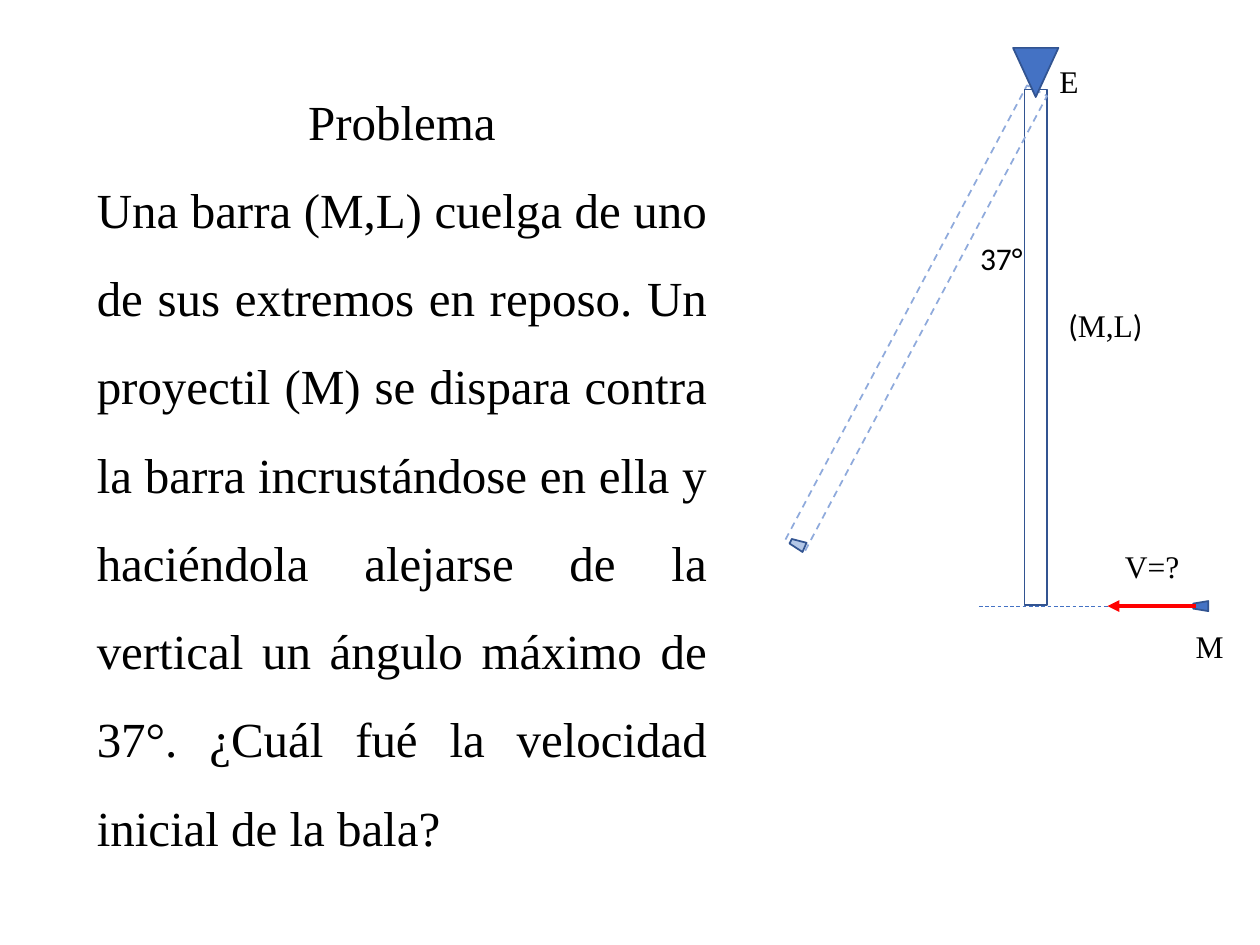
import pptx
import pptx.util
import pptx.dml.color
import pptx.enum.dml
import pptx.enum.shapes
import pptx.enum.text
import pptx.oxml.ns
from lxml import etree

Inches = pptx.util.Inches
Pt = pptx.util.Pt
RGBColor = pptx.dml.color.RGBColor
Shape = pptx.enum.shapes.MSO_SHAPE
Align = pptx.enum.text.PP_ALIGN
DASH = pptx.enum.dml.MSO_LINE.DASH

BLACK = RGBColor(0x00, 0x00, 0x00)
BLUE = RGBColor(0x44, 0x72, 0xC4)
DARK_BLUE = RGBColor(0x32, 0x54, 0x91)
MID_BLUE = RGBColor(0x8F, 0xAA, 0xDC)
PALE_BLUE = RGBColor(0xB4, 0xC7, 0xE7)
RED = RGBColor(0xFF, 0x00, 0x00)

SERIF = "Times New Roman"
SANS = "Calibri"

STATEMENT = [
    ([("Problema", SERIF)], Align.CENTER),
    ([("Una barra (M,L) cuelga de uno de sus extremos en reposo. "
       "Un proyectil (M) se dispara contra la barra incrustándose en ella "
       "y haciéndola alejarse de la vertical un ángulo máximo de 37°. "
       "¿Cuál fué la velocidad inicial de la bala?", SERIF)], Align.JUSTIFY),
]
LABELS = [
    ((7.68, 1.85, 0.6, 0.4), [("37°", SANS)]),
    ((8.38, 2.38, 0.79, 0.4), [("(", SANS), ("M,L", SERIF), (")", SANS)]),
    ((8.83, 4.29, 0.66, 0.48), [("V=?", SERIF)]),
    ((9.39, 4.93, 0.49, 0.4), [("M", SERIF)]),
    ((8.31, 0.44, 0.49, 0.4), [("E", SERIF)]),
]
BAR_SIZE = (0.18, 4.09)
BULLET_SIZE = (0.08, 0.12)
FLIGHT_Y = 4.81


def add_text(page, place, paragraphs, size=18, spacing=None, wrap=False):
    box = page.shapes.add_textbox(*map(Inches, place))
    frame = box.text_frame
    frame.word_wrap = wrap
    frame.auto_size = pptx.enum.text.MSO_AUTO_SIZE.SHAPE_TO_FIT_TEXT
    for index, (spans, align) in enumerate(paragraphs):
        para = frame.add_paragraph() if index else frame.paragraphs[0]
        para.alignment = align
        para.line_spacing = spacing
        for text, font in spans:
            span = para.add_run()
            span.text = text
            span.font.name = font
            span.font.size = Pt(size)
            span.font.color.rgb = BLACK


def add_part(page, kind, corner, size, fill=None, line=DARK_BLUE, rotation=0, dash=None):
    shape = page.shapes.add_shape(kind, *map(Inches, corner + size))
    shape.shadow.inherit = False
    shape.rotation = rotation
    if fill is None:
        shape.fill.background()
    else:
        shape.fill.solid()
        shape.fill.fore_color.rgb = fill
    shape.line.color.rgb = line
    shape.line.width = Pt(1)
    if dash:
        shape.line.dash_style = dash


def add_flight_line(page, start, end, color, width, dash=None, arrow=False):
    line = page.shapes.add_connector(
        pptx.enum.shapes.MSO_CONNECTOR.STRAIGHT,
        Inches(start), Inches(FLIGHT_Y), Inches(end), Inches(FLIGHT_Y))
    line.line.color.rgb = color
    line.line.width = Pt(width)
    if dash:
        line.line.dash_style = dash
    if arrow:
        outline = line.line._get_or_add_ln()
        etree.SubElement(outline, pptx.oxml.ns.qn("a:headEnd"), type="triangle")
    etree.SubElement(line._element.spPr, pptx.oxml.ns.qn("a:effectLst"))


def main():
    deck = pptx.Presentation()
    deck.slide_width, deck.slide_height = Inches(10), Inches(7.5)
    page = deck.slides.add_slide(deck.slide_layouts[6])

    add_text(page, (0.67, 0.44, 5.04, 6.38), STATEMENT, size=28, spacing=1.5, wrap=True)
    add_part(page, Shape.RECTANGLE, (8.13, 0.71), BAR_SIZE)
    add_part(page, Shape.RECTANGLE, (7.18, 0.48), BAR_SIZE,
             line=MID_BLUE, rotation=28, dash=DASH)
    add_part(page, Shape.TRAPEZOID, (9.49, 4.75), BULLET_SIZE, fill=BLUE, rotation=270)
    add_flight_line(page, 7.77, 9.27, BLUE, 0.5, dash=DASH)
    add_part(page, Shape.TRAPEZOID, (6.29, 4.26), BULLET_SIZE, fill=PALE_BLUE, rotation=294)
    add_flight_line(page, 8.79, 9.49, RED, 2.25, arrow=True)
    add_part(page, Shape.ISOSCELES_TRIANGLE, (8.04, 0.38), (0.36, 0.39),
             fill=BLUE, rotation=180)
    for place, spans in LABELS:
        add_text(page, place, [(spans, Align.LEFT)])

    deck.save("out.pptx")


if __name__ == "__main__":
    main()
